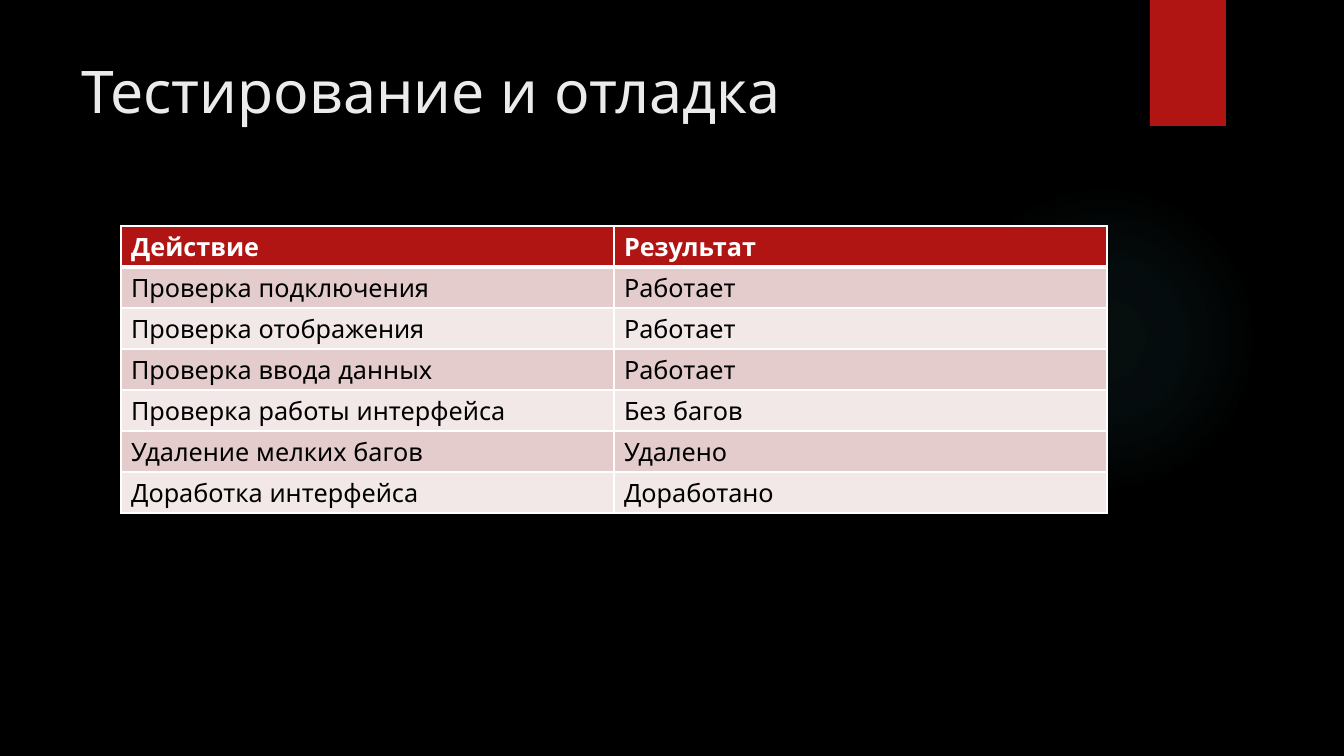
from lxml import etree
from pptx import Presentation
from pptx.dml.color import RGBColor
from pptx.enum.shapes import MSO_SHAPE as SHAPE
from pptx.enum.text import MSO_ANCHOR as ANCHOR
from pptx.oxml import parse_xml
from pptx.oxml.ns import nsdecls, qn
from pptx.util import Pt

PX = 914400 / 100.8
RED, WHITE, BLACK = "B01513", "FFFFFF", "000000"
BANDS = ["E4CCCC", "F2E8E7"]
ROWS = [
    ("Действие", "Результат"),
    ("Проверка подключения", "Работает"),
    ("Проверка отображения", "Работает"),
    ("Проверка ввода данных", "Работает"),
    ("Проверка работы интерфейса", "Без багов"),
    ("Удаление мелких багов", "Удалено"),
    ("Доработка интерфейса", "Доработано"),
]


def px(*lengths):
    """Turn pixel lengths into a list of EMU."""
    return [round(length * PX) for length in lengths]


def style(paragraph, size, color, bold=False):
    font = paragraph.runs[0].font
    font.name, font.size, font.bold = "Quicksand", Pt(size), bold
    font.color.rgb = RGBColor.from_string(color)


prs = Presentation()
prs.slide_width, prs.slide_height = px(1344, 756)
slide = prs.slides.add_slide(prs.slide_layouts[6])
slide.background.fill.solid()
slide.background.fill.fore_color.rgb = RGBColor.from_string(BLACK)

# Faint teal glow
glow = slide.shapes.add_shape(SHAPE.OVAL, *px(949, 184, 310, 310))
glow.shadow.inherit = False
glow.line.fill.background()
glow.fill.background()
stops = "".join(
    f'<a:gs pos="{pos * 1000}"><a:srgbClr val="50B9C1">'
    f'<a:alpha val="{alpha * 1000}"/></a:srgbClr></a:gs>'
    for pos, alpha in [(0, 7), (36, 6), (69, 0)]
)
gradient = parse_xml(
    f'<a:gradFill {nsdecls("a")}><a:gsLst>{stops}</a:gsLst><a:path path="circle">'
    '<a:fillToRect l="50000" t="50000" r="50000" b="50000"/></a:path></a:gradFill>'
)
glow_props = glow.element.spPr
glow_props.replace(glow_props.find(qn("a:noFill")), gradient)

# Red bookmark
bookmark = slide.shapes.add_shape(SHAPE.RECTANGLE, *px(1150, 0, 76, 126))
bookmark.shadow.inherit = False
bookmark.line.fill.background()
bookmark.fill.solid()
bookmark.fill.fore_color.rgb = RGBColor.from_string(RED)

# Title
title = slide.shapes.add_textbox(*px(72, 50, 1037, 154)).text_frame
title.word_wrap = True
title.vertical_anchor = ANCHOR.TOP
title.text = "Тестирование и отладка"
style(title.paragraphs[0], 42, "EBEBEB")

# Test results
results = slide.shapes.add_table(len(ROWS), 2, *px(121, 226, 986, 287)).table
for column in results.columns:
    column.width = px(493)[0]
for r, texts in enumerate(ROWS):
    results.rows[r].height = px(41)[0]
    for c, text in enumerate(texts):
        cell = results.cell(r, c)
        cell.text = text
        style(cell.text_frame.paragraphs[0], 18, BLACK if r else WHITE, bold=r == 0)
        cell_props = cell._tc.get_or_add_tcPr()
        for side in "LRTB":
            under_header = (r, side) in [(0, "B"), (1, "T")]
            border = etree.SubElement(
                cell_props, qn(f"a:ln{side}"), w=str(Pt(3 if under_header else 1))
            )
            fill = etree.SubElement(border, qn("a:solidFill"))
            etree.SubElement(fill, qn("a:srgbClr"), val=WHITE)
        cell.fill.solid()
        cell.fill.fore_color.rgb = RGBColor.from_string(BANDS[(r - 1) % 2] if r else RED)

prs.save("out.pptx")
